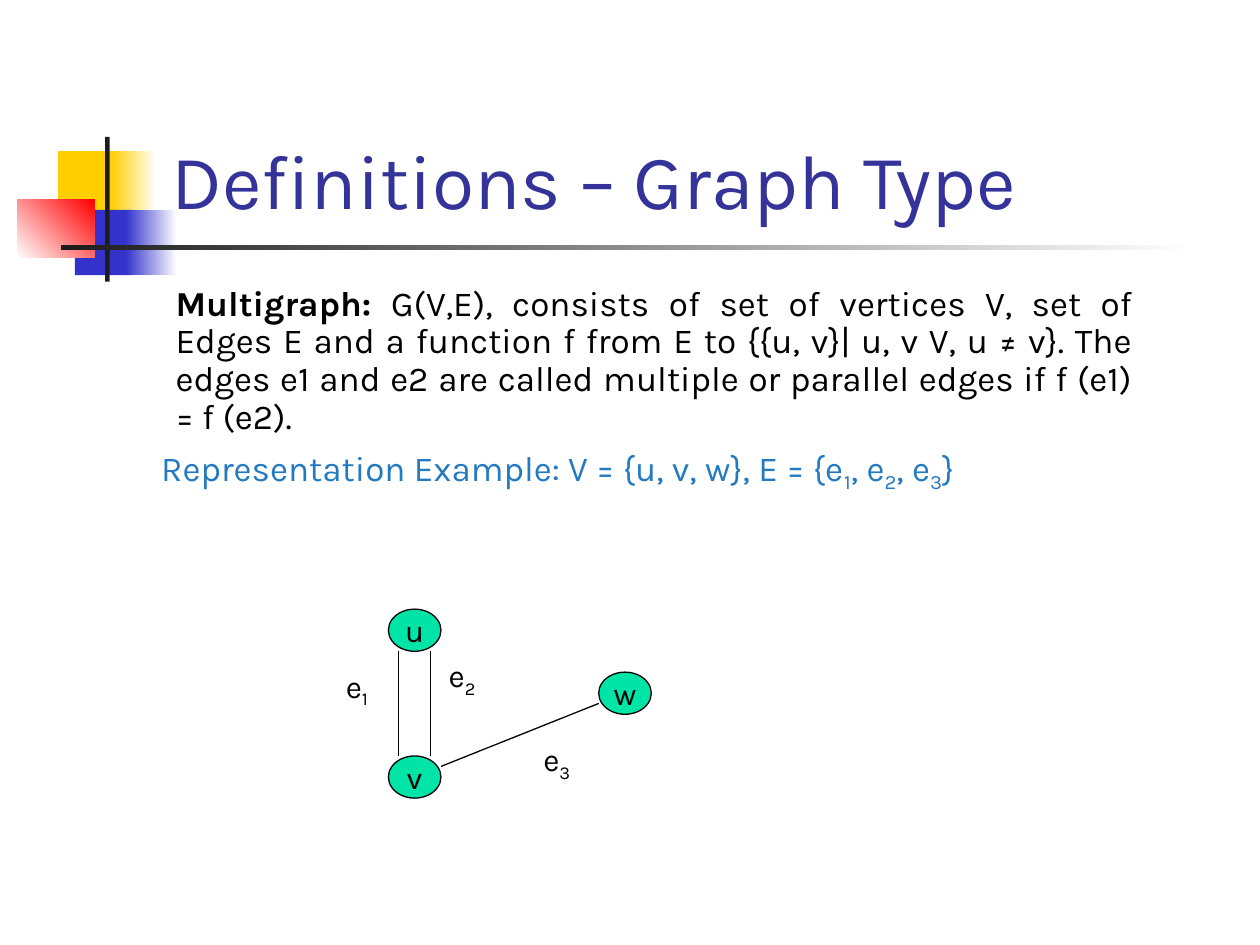
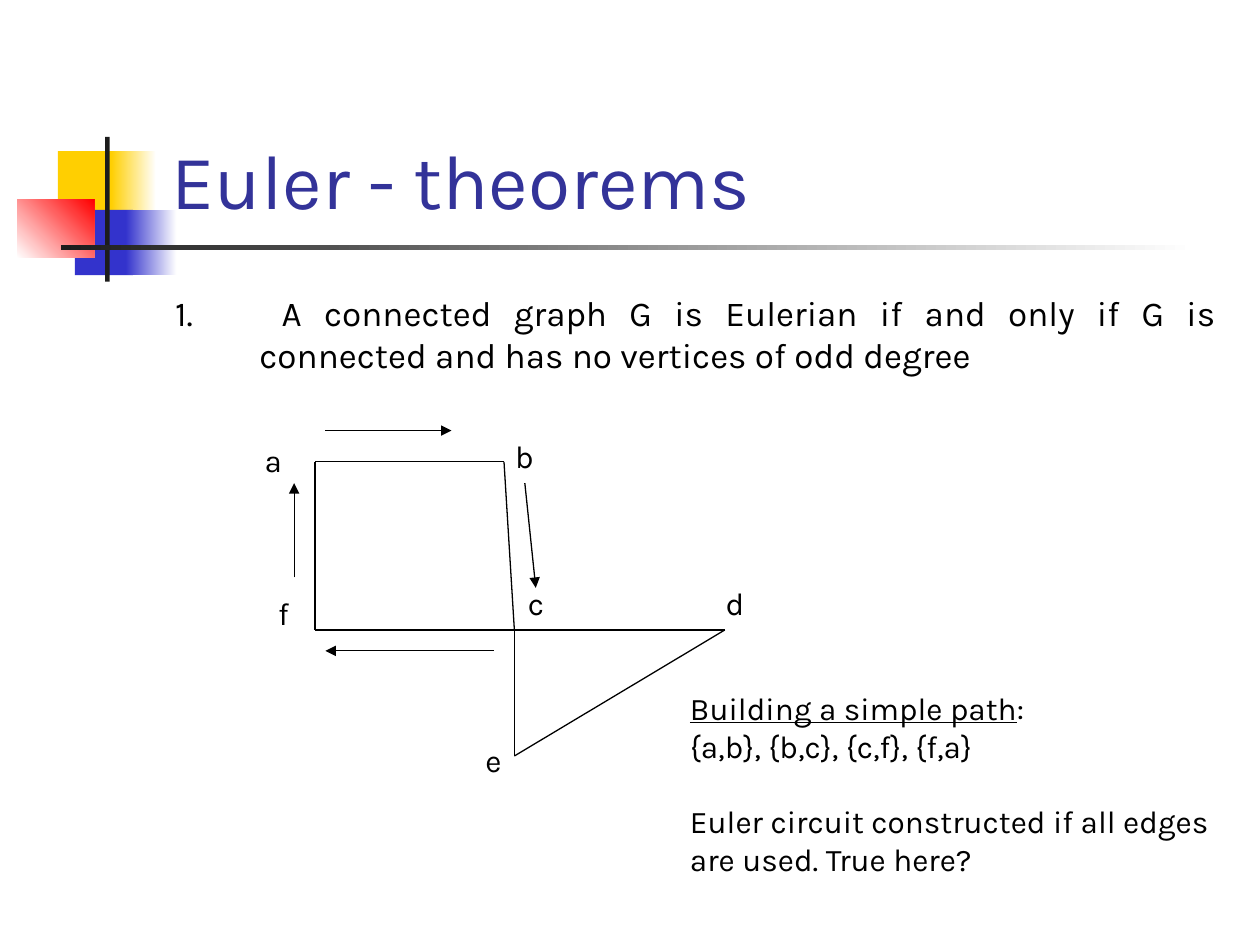
from dataclasses import dataclass
from typing import NamedTuple

from lxml import etree
from pptx import Presentation
from pptx.dml.color import RGBColor
from pptx.enum.shapes import MSO_CONNECTOR, MSO_SHAPE
from pptx.enum.text import MSO_ANCHOR, PP_ALIGN
from pptx.oxml.ns import qn
from pptx.util import Cm, Pt

RECT, OVAL = MSO_SHAPE.RECTANGLE, MSO_SHAPE.OVAL
LINE = MSO_CONNECTOR.STRAIGHT
LEFT, MID, JUST = PP_ALIGN.LEFT, PP_ALIGN.CENTER, PP_ALIGN.JUSTIFY
TOP, CORE, BASE = MSO_ANCHOR.TOP, MSO_ANCHOR.MIDDLE, MSO_ANCHOR.BOTTOM

FONT = "Karla"
BLACK, WHITE, INK = "000000", "FFFFFF", "1C1C1C"
GOLD, BLUE, RED = "FFCF01", "3333CC", "FF0000"
NAVY, SKY, GREEN = "333399", "237AC1", "00E4A8"


class Run(NamedTuple):
    text: str
    bold: bool = False
    under: bool = False
    sub: bool = False


class Spot(NamedTuple):
    x: float
    y: float


class Box(NamedTuple):
    x: float
    y: float
    w: float
    h: float

    def cm(self) -> list:
        return [Cm(v) for v in self]


@dataclass
class Band:
    box: Box
    start: str
    end: str = ""
    angle: int = 0


@dataclass
class Mark:
    box: Box
    runs: list
    kind: int = RECT
    fill: str = WHITE
    edge: str = WHITE


BANDS = [
    Band(Box(1.17, 3.05, 1.22, 1.32), GOLD),
    Band(Box(2.24, 3.05, 0.91, 1.32), GOLD, WHITE),
    Band(Box(1.51, 4.23, 1.17, 1.32), BLUE),
    Band(Box(2.54, 4.23, 1.02, 1.32), BLUE, WHITE),
    Band(Box(0.35, 4.02, 1.55, 1.18), WHITE, RED, 45),
    Band(Box(2.12, 2.76, 0.09, 2.92), INK),
    Band(Box(1.23, 4.94, 22.86, 0.1), INK, WHITE),
]


def color(code: str) -> RGBColor:
    return RGBColor.from_string(code)


def write(para, runs, size=18, ink=BLACK, align=LEFT, before=0, space=1.0,
          margin=0, hang=0) -> None:
    para.alignment = align
    para.space_before = Pt(before)
    para.line_spacing = space
    props = para._p.get_or_add_pPr()
    props.set("marL", str(Cm(margin)))
    props.set("indent", str(Cm(-hang)))
    for item in runs:
        run = para.add_run()
        run.text = item.text
        font = run.font
        font.name, font.size = FONT, Pt(size)
        font.bold, font.underline = item.bold, item.under
        font.color.rgb = color(ink)
        if item.sub:
            run._r.get_or_add_rPr().set("baseline", "-25000")


def frame(slide, box: Box, wrap: bool):
    text = slide.shapes.add_textbox(*box.cm()).text_frame
    text.word_wrap = wrap
    text.vertical_anchor = TOP
    return text


def shape(slide, kind: int, box: Box):
    item = slide.shapes.add_shape(kind, *box.cm())
    item.shadow.inherit = False
    return item


def band(slide, spec: Band) -> None:
    item = shape(slide, RECT, spec.box)
    item.line.fill.background()
    if not spec.end:
        item.fill.solid()
        item.fill.fore_color.rgb = color(spec.start)
        return
    item.fill.gradient()
    item.fill.gradient_angle = spec.angle
    for stop, code, place in zip(item.fill.gradient_stops,
                                 (spec.start, spec.end), (0, 1)):
        stop.color.rgb = color(code)
        stop.position = place


def mark(slide, spec: Mark) -> None:
    item = shape(slide, spec.kind, spec.box)
    item.fill.solid()
    item.fill.fore_color.rgb = color(spec.fill)
    item.line.color.rgb = color(spec.edge)
    item.line.width = Pt(0.75)
    text = item.text_frame
    text.word_wrap = False
    text.vertical_anchor = CORE
    write(text.paragraphs[0], spec.runs, align=MID)


def link(slide, start: Spot, end: Spot, arrow: bool = False) -> None:
    item = slide.shapes.add_connector(
        LINE, *[Cm(v) for v in (*start, *end)])
    item.line.color.rgb = color(BLACK)
    item.line.width = Pt(0.75)
    if arrow:
        tip = etree.SubElement(item.line._get_or_add_ln(), qn("a:tailEnd"))
        tip.set("type", "triangle")
    etree.SubElement(item._element.spPr, qn("a:effectLst"))


def start(deck, title: str):
    slide = deck.slides.add_slide(deck.slide_layouts[5])
    for spec in BANDS:
        band(slide, spec)
    head = slide.shapes.title
    head.left, head.top, head.width, head.height = Box(
        3.2, 0.6, 21.64, 4.06).cm()
    head.text_frame.vertical_anchor = BASE
    write(head.text_frame.paragraphs[0], [Run(title)], size=44, ink=NAVY)
    return slide


def types(deck) -> None:
    slide = start(deck, "Definitions – Graph Type")
    text = frame(slide, Box(2.34, 5.64, 20.75, 5.72), True)
    write(text.paragraphs[0], [
        Run("Multigraph:", bold=True),
        Run(" G(V,E), consists of set of vertices V, set of Edges E and a "
            "function f from E to {{u, v}| u, v V, u ≠ v}. The edges e1 and "
            "e2 are called multiple or parallel edges if f (e1) = f (e2)."),
    ], size=20, align=JUST, space=0.9, margin=0.95)
    runs = [Run("Representation Example: V = {u, v, w}, E = {e")]
    for digit, tail in zip("123", (", e", ", e", "}")):
        runs += [Run(digit, sub=True), Run(tail)]
    write(text.add_paragraph(), runs, size=20, ink=SKY, align=JUST,
          before=5.5, space=0.9, margin=0.66)

    for name, x, y in (("u", 7.83, 12.28), ("v", 7.83, 15.24),
                       ("w", 12.07, 13.55)):
        mark(slide, Mark(Box(x, y, 1.06, 0.85), [Run(name)],
                         OVAL, GREEN, BLACK))
    link(slide, Spot(8.89, 15.45), Spot(12.07, 14.18))
    for x in (8.04, 8.68):
        link(slide, Spot(x, 13.12), Spot(x, 15.24))
    for digit, x, y in (("1", 6.77, 13.55), ("2", 8.89, 13.34),
                        ("3", 10.8, 15.03)):
        mark(slide, Mark(Box(x, y, 0.85, 0.64),
                         [Run("e"), Run(digit, sub=True)]))


def euler(deck) -> None:
    slide = start(deck, "Euler - theorems")
    text = frame(slide, Box(3.28, 5.75, 21.49, 2.64), True)
    write(text.paragraphs[0], [Run(
        "1.\t A connected graph G is Eulerian if and only if G is connected "
        "and has no vertices of odd degree")],
        size=20, align=JUST, margin=1.7, hang=1.7)

    spots = {
        "a": Spot(6.35, 9.31), "b": Spot(10.16, 9.31),
        "c": Spot(10.37, 12.7), "d": Spot(14.61, 12.7),
        "e": Spot(10.37, 15.24), "f": Spot(6.35, 12.7),
    }
    for tail, head in ("ab", "af", "fc", "bc", "cd", "ce", "ed"):
        link(slide, spots[tail], spots[head])
    for name, x, y, w in (("a", 5.08, 8.76, 0.86), ("b", 10.13, 8.69, 0.89),
                          ("c", 10.39, 11.64, 0.81), ("d", 14.37, 11.64, 0.89),
                          ("e", 9.52, 14.81, 0.86), ("f", 5.36, 11.86, 0.71)):
        label = frame(slide, Box(x, y, w, 1.02), False)
        write(label.paragraphs[0], [Run(name)], align=MID)
    for tail, head in ((Spot(6.56, 8.68), Spot(9.1, 8.68)),
                       (Spot(10.58, 9.74), Spot(10.8, 11.85)),
                       (Spot(9.95, 13.12), Spot(6.56, 13.12)),
                       (Spot(5.93, 11.64), Spot(5.93, 9.74))):
        link(slide, tail, head, arrow=True)

    note = frame(slide, Box(13.66, 13.77, 11.1, 4.06), False)
    write(note.paragraphs[0],
          [Run("Building a simple path", under=True), Run(":")])
    for line, gap in (("{a,b}, {b,c}, {c,f}, {f,a}", 0),
                      ("Euler circuit constructed if all edges", 21.5),
                      ("are used. True here?", 0)):
        write(note.add_paragraph(), [Run(line)], before=gap)


def main() -> None:
    deck = Presentation()
    deck.slide_width, deck.slide_height = Cm(25.4), Cm(19.05)
    types(deck)
    euler(deck)
    deck.save("out.pptx")


if __name__ == "__main__":
    main()
